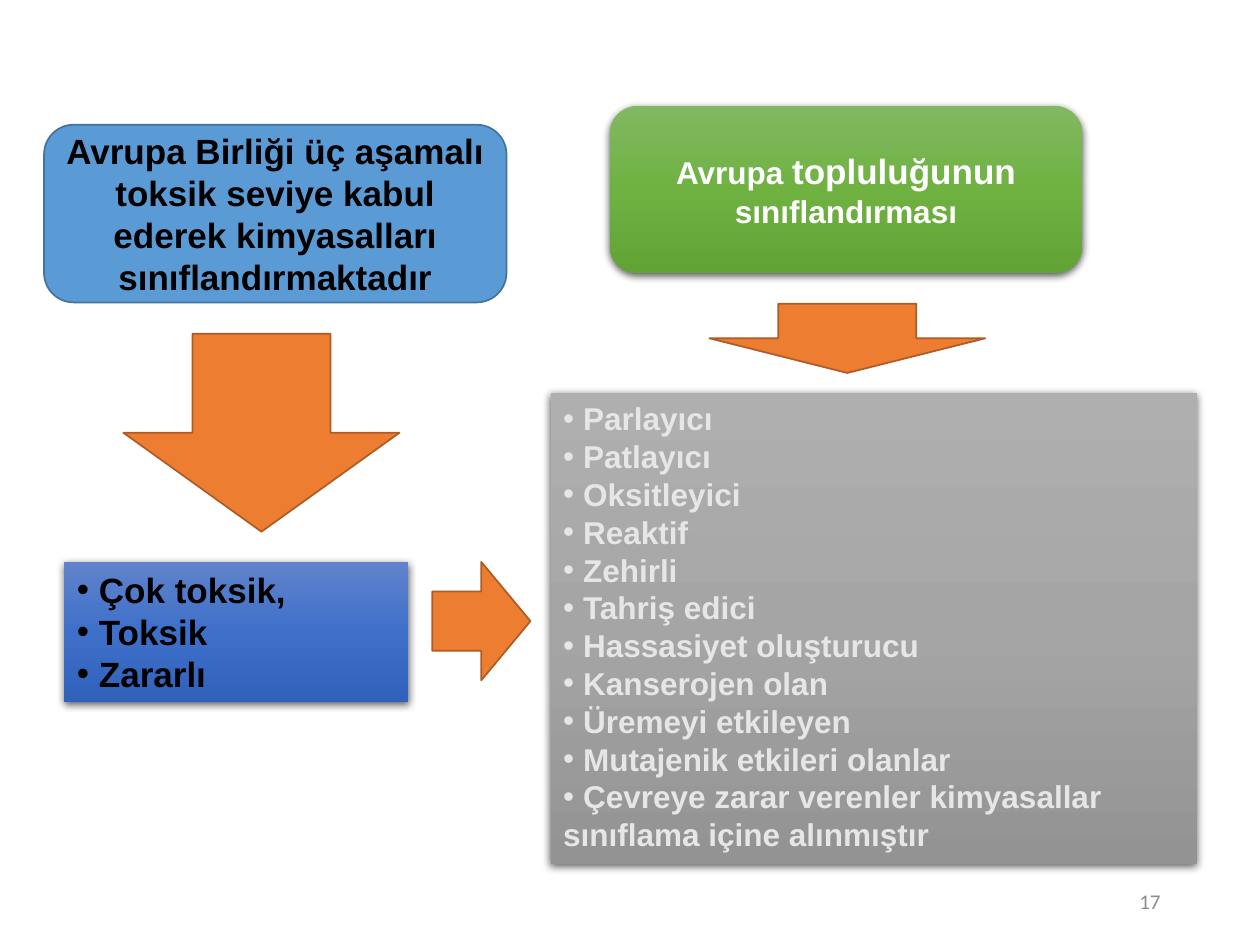
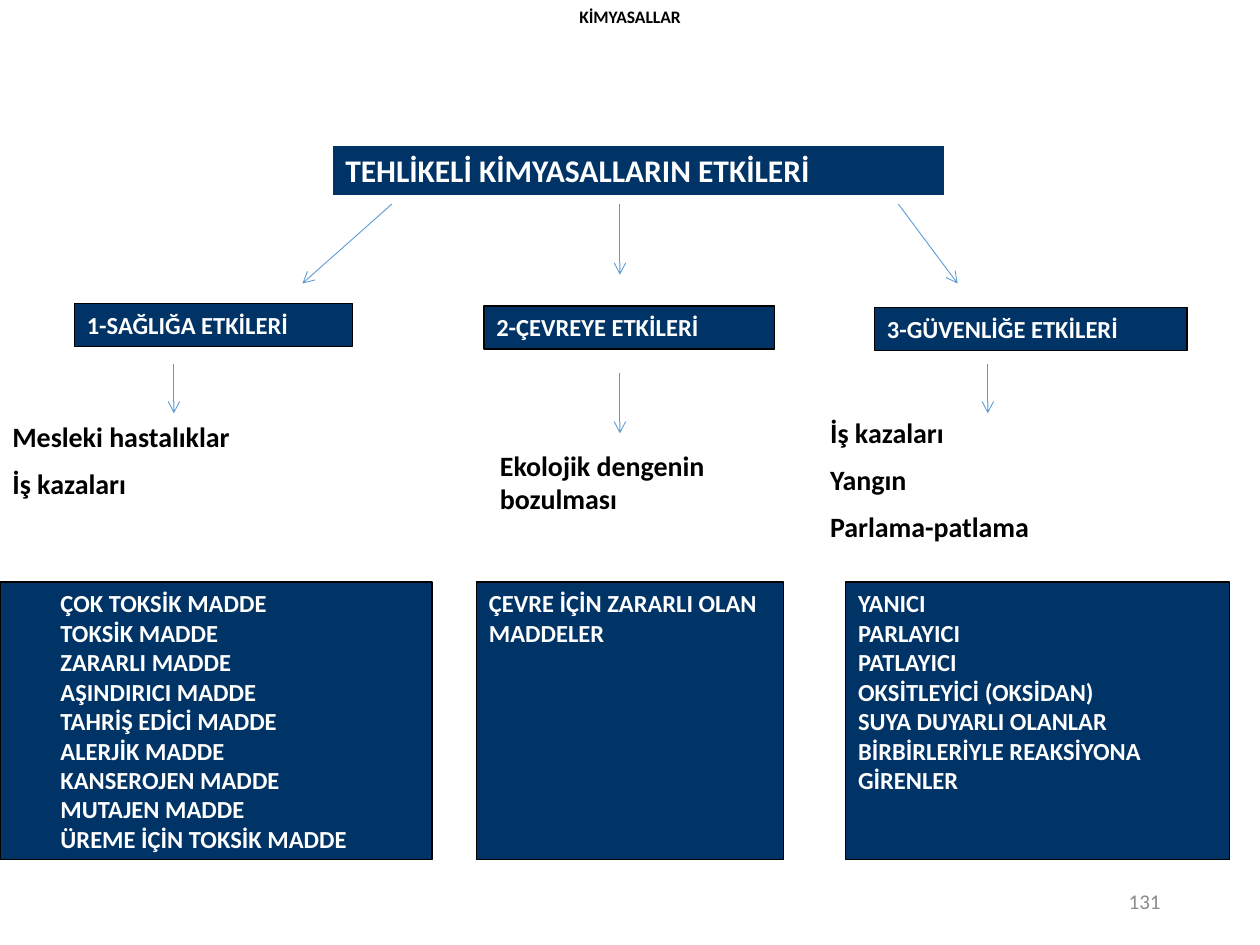
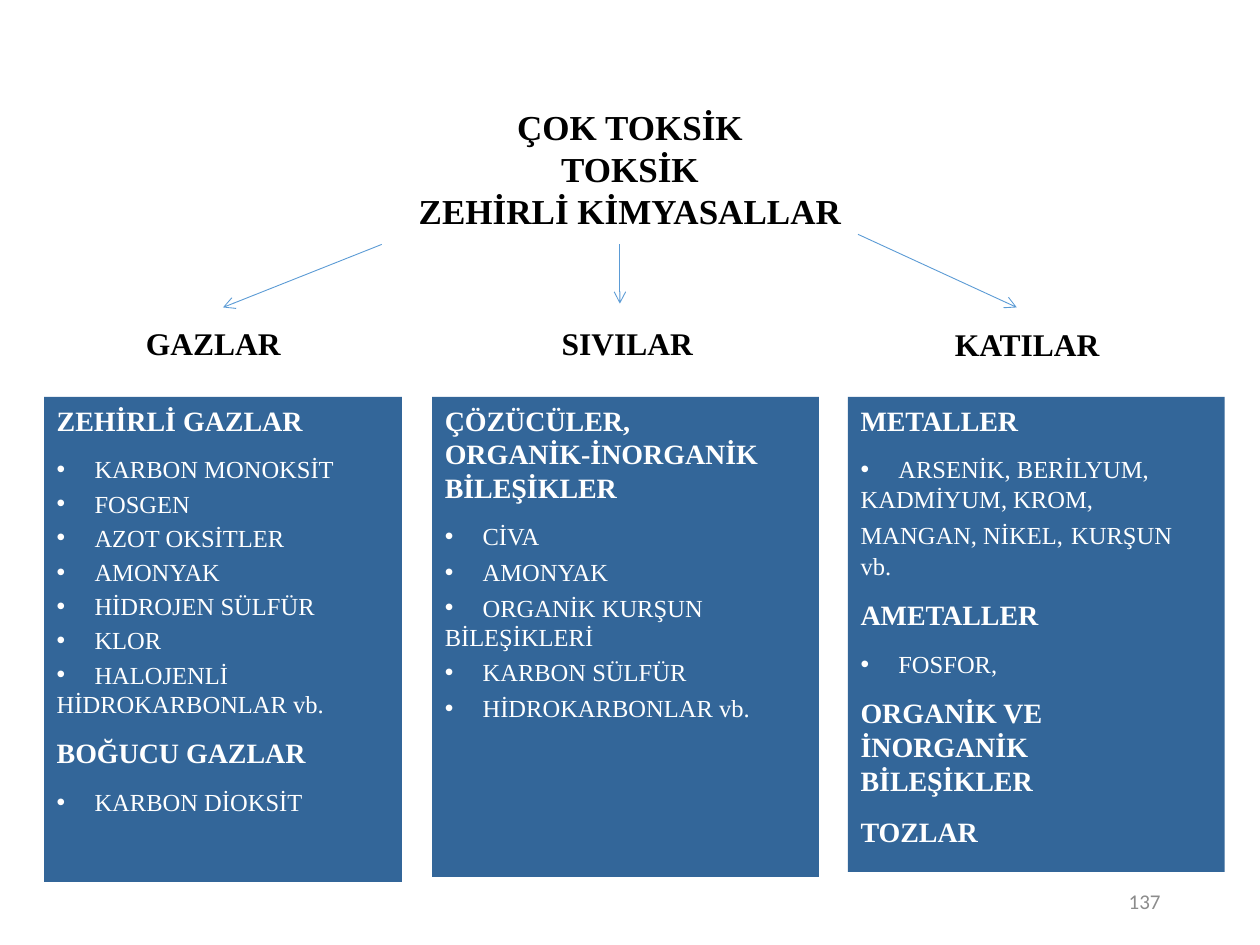
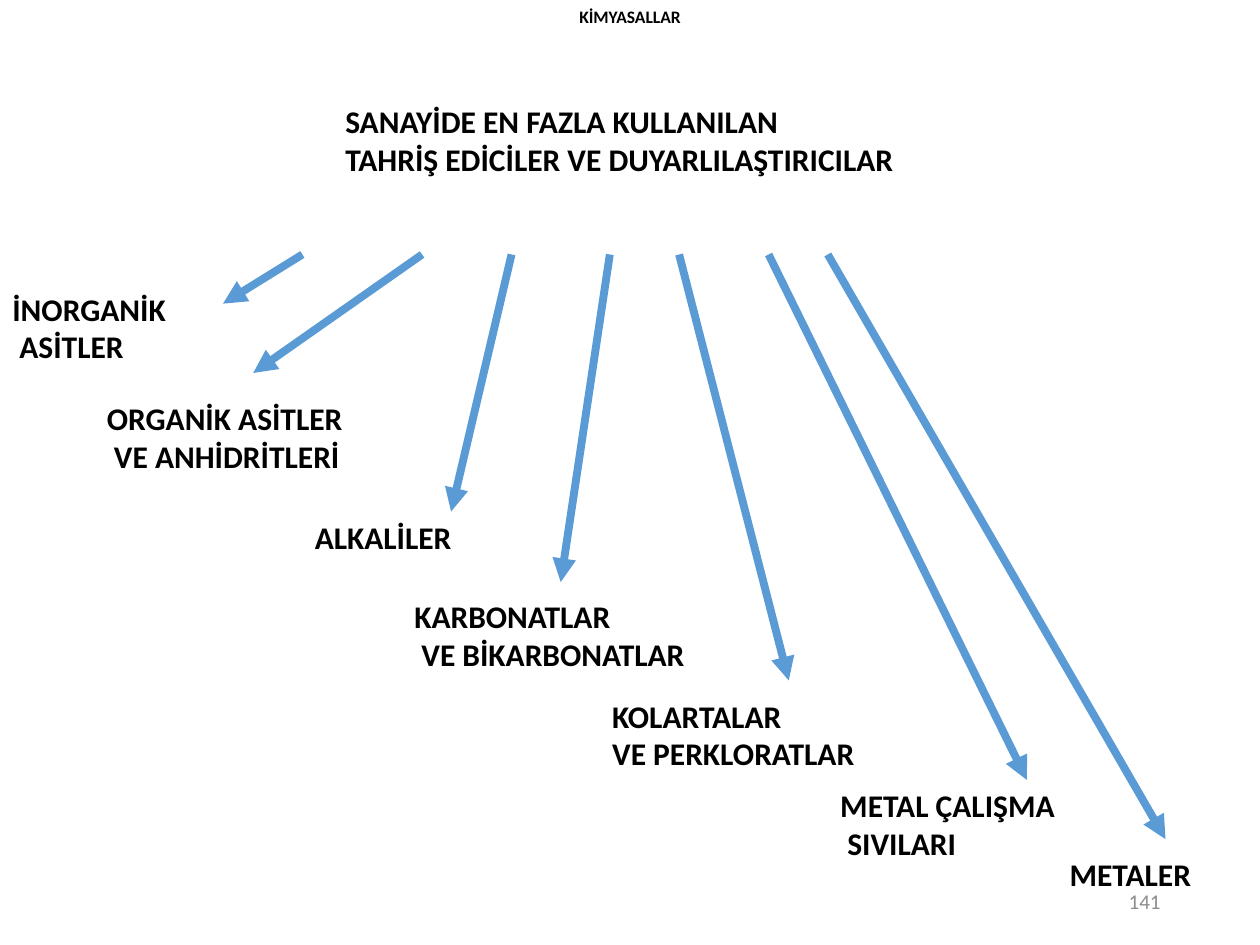
from dataclasses import dataclass

from lxml.etree import SubElement
from pptx import Presentation
from pptx.dml.color import RGBColor
from pptx.enum.shapes import MSO_CONNECTOR as Connector, MSO_SHAPE as Preset
from pptx.enum.text import MSO_ANCHOR as Anchor, MSO_AUTO_SIZE as AutoSize, PP_ALIGN as Align
from pptx.oxml.ns import qn
from pptx.util import Inches, Pt

COLUMNS, ROWS = 100, 75
BLACK, WHITE, GRAY = "000000", "FFFFFF", "8C8C8C"
NAVY, STEEL, SKY, ORANGE, RUST = "003366", "336699", "5B9BD5", "ED7D31", "AF5C24"
BLUE_FADE = ("6183CB", "3E70CA", "3062BB")
GREEN_FADE = ("81B861", "6FB242", "62A336")
GRAY_FADE = ("AFAFAF", "A5A5A5", "939393")


def color(value):
    return RGBColor.from_string(value)


@dataclass
class Line:
    text: object
    size: float = None
    bold: bool = True
    before: float = 0
    tab: float = None


class Deck:
    def __init__(self):
        self.presentation = Presentation()
        self.presentation.slide_width = Inches(10)
        self.presentation.slide_height = Inches(7.5)
        self.column = self.presentation.slide_width / COLUMNS
        self.row = self.presentation.slide_height / ROWS

    def start(self, font, number, banner=None):
        self.font = font
        layout = self.presentation.slide_layouts[4]
        self.slide = self.presentation.slides.add_slide(layout)
        self.bodies = iter(list(self.slide.placeholders)[1:])
        self.text((70.6, 69.5, 22.5, 4), [number], 12, GRAY, bold=False,
                  align=Align.RIGHT, anchor=Anchor.MIDDLE, font="Calibri")
        if banner:
            self.text((0, 0, 100, 2.7), [banner], 10, align=Align.CENTER)

    def finish(self):
        for placeholder in list(self.slide.placeholders):
            if not placeholder.text_frame.text:
                placeholder._element.getparent().remove(placeholder._element)

    def place(self, box):
        left, top, width, height = box
        return (round(left * self.column), round(top * self.row),
                round(width * self.column), round(height * self.row))

    def move(self, shape, box):
        shape.left, shape.top, shape.width, shape.height = self.place(box)
        return shape

    def paint(self, shape, fill, outline=None, weight=1.0):
        shape.shadow.inherit = False
        if isinstance(fill, tuple):
            self.fade(shape, fill)
        else:
            shape.fill.solid()
            shape.fill.fore_color.rgb = color(fill)
        if outline:
            shape.line.color.rgb = color(outline)
            shape.line.width = Pt(weight)
        else:
            shape.line.fill.background()

    def fade(self, shape, stops):
        shape.fill.gradient()
        shape.fill.gradient_angle = 270
        properties = shape._element.spPr
        stop_list = next(properties.iter(qn("a:gsLst")))
        stop_list.clear()
        for position, stop in enumerate(stops):
            entry = SubElement(stop_list, qn("a:gs"), pos=str(position * 50000))
            SubElement(entry, qn("a:srgbClr"), val=stop)
        effects = properties.find(qn("a:effectLst"))
        shadow = SubElement(effects, qn("a:outerShdw"), blurRad=str(Pt(4.5)), dist=str(Pt(1.5)),
                            dir="5400000", algn="ctr", rotWithShape="0")
        tint = SubElement(shadow, qn("a:srgbClr"), val=BLACK)
        SubElement(tint, qn("a:alpha"), val="63000")

    def set_lines(self, shape, lines, size, ink=BLACK, bold=True, align=Align.LEFT,
                  anchor=Anchor.TOP, indent=0, gap=0, font=None):
        frame = shape.text_frame
        frame.word_wrap = True
        frame.auto_size = AutoSize.NONE
        frame.vertical_anchor = anchor
        for index, line in enumerate(lines):
            if isinstance(line, str):
                line = Line(line, bold=bold, before=gap)
            paragraph = frame.add_paragraph() if index else frame.paragraphs[0]
            self.set_bullet(paragraph, line.tab, indent)
            paragraph.alignment = align
            paragraph.space_before = Pt(line.before if index else 0)
            paragraph.space_after = Pt(0)
            pieces = line.text
            if isinstance(pieces, str):
                pieces = [(pieces, line.size or size)]
            for text, piece_size in pieces:
                run = paragraph.add_run()
                run.text = text
                run.font.name = font or self.font
                run.font.size = Pt(piece_size)
                run.font.bold = line.bold
                run.font.color.rgb = color(ink)

    def set_bullet(self, paragraph, tab, indent):
        properties = paragraph._p.get_or_add_pPr()
        properties.set("marL", str(round(indent * self.column)))
        properties.set("indent", "0")
        if tab is None:
            SubElement(properties, qn("a:buNone"))
            return
        SubElement(properties, qn("a:buFont"), typeface="Arial")
        SubElement(properties, qn("a:buChar"), char="•")
        tabs = SubElement(properties, qn("a:tabLst"))
        SubElement(tabs, qn("a:tab"), pos=str(round(tab * self.column)), algn="l")

    def title(self, box, lines, size, **style):
        shape = self.move(self.slide.shapes.title, box)
        self.set_lines(shape, lines, size, **style)
        return shape

    def text(self, box, lines, size, ink=BLACK, **style):
        shape = self.slide.shapes.add_textbox(*self.place(box))
        self.set_lines(shape, lines, size, ink, **style)

    def panel(self, box, lines, size, fill, outline=None, ink=WHITE, **style):
        shape = self.move(next(self.bodies), box)
        self.paint(shape, fill, outline, 0.75)
        self.set_lines(shape, lines, size, ink, **style)

    def shape(self, preset, box, fill, outline=None, weight=1.0):
        shape = self.slide.shapes.add_shape(preset, *self.place(box))
        self.paint(shape, fill, outline, weight)
        return shape

    def arrow(self, start, end, weight=0.5, head="arrow"):
        points = self.place((*start, *end))
        connector = self.slide.shapes.add_connector(Connector.STRAIGHT, *points)
        connector.line.color.rgb = color(SKY)
        connector.line.width = Pt(weight)
        properties = connector._element.spPr
        SubElement(properties.find(qn("a:ln")), qn("a:tailEnd"), type=head)
        SubElement(properties, qn("a:effectLst"))


def bulleted(items, tab):
    return [Line("\t" + item, tab=tab) for item in items]


def sectioned(sections, item_gap):
    lines = []
    for headings, items in sections:
        for index, heading in enumerate(headings):
            lines.append(Line(heading, size=16, before=0 if index else 10))
        for index, item in enumerate(items):
            text = "\t" + item if isinstance(item, str) else item
            lines.append(Line(text, bold=False, before=item_gap if index else 10, tab=3))
    return lines


def classification_slide(deck):
    deck.start("Arial", "17")
    levels = deck.shape(Preset.ROUNDED_RECTANGLE, (3.5, 9.9, 36.7, 14.1), SKY, "43739E")
    deck.set_lines(levels, ["Avrupa Birliği üç aşamalı toksik seviye kabul ederek kimyasalları "
                            "sınıflandırmaktadır"], 20, align=Align.CENTER, anchor=Anchor.MIDDLE)
    community = deck.shape(Preset.ROUNDED_RECTANGLE, (48.4, 8.4, 37.5, 13.3), GREEN_FADE)
    heading = Line([("Avrupa ", 18), ("topluluğunun", 20), (" sınıflandırması", 18)])
    deck.set_lines(community, [heading], 18, WHITE, align=Align.CENTER, anchor=Anchor.MIDDLE)
    for preset, box in ((Preset.DOWN_ARROW, (9.8, 26.5, 21.9, 15.7)),
                        (Preset.RIGHT_ARROW, (34.3, 44.6, 7.8, 9.4)),
                        (Preset.DOWN_ARROW, (56.3, 24.1, 21.9, 5.5))):
        deck.shape(preset, box, ORANGE, RUST)
    deck.panel((5.1, 44.6, 27.3, 11.1), bulleted(["Çok toksik,", "Toksik", "Zararlı"], 1.75),
               20, BLUE_FADE, ink=BLACK)
    classes = ["Parlayıcı", "Patlayıcı", "Oksitleyici", "Reaktif", "Zehirli", "Tahriş edici",
               "Hassasiyet oluşturucu", "Kanserojen olan", "Üremeyi etkileyen",
               "Mutajenik etkileri olanlar",
               "Çevreye zarar verenler kimyasallar sınıflama içine alınmıştır"]
    deck.panel((43.7, 31.2, 51.3, 37.4), bulleted(classes, 1.58), 18, GRAY_FADE, ink="E7E6E6")
    deck.finish()


def effects_slide(deck):
    deck.start("Calibri", "131", "KİMYASALLAR")
    title = deck.title((26.4, 11.5, 48.6, 4), ["TEHLİKELİ KİMYASALLARIN ETKİLERİ"], 18, ink=WHITE)
    deck.paint(title, NAVY, WHITE, 0.75)
    for label, box in (("1-SAĞLIĞA ETKİLERİ", (5.9, 24.1, 22.1, 3.4)),
                       ("2-ÇEVREYE ETKİLERİ", (38.4, 24.3, 23.1, 3.4)),
                       ("3-GÜVENLİĞE ETKİLERİ", (69.4, 24.4, 24.8, 3.4))):
        deck.set_lines(deck.shape(Preset.RECTANGLE, box, NAVY, BLACK, 0.75), [label], 14, WHITE)
    for box, effects in (
            ((0, 32.8, 32.7, 7.7), ["Mesleki hastalıklar", "İş kazaları"]),
            ((38.7, 35.1, 26, 6.4), ["Ekolojik dengenin bozulması"]),
            ((64.9, 32.5, 32.7, 11.7), ["İş kazaları", "Yangın", "Parlama-patlama"])):
        deck.text(box, effects, 16, gap=7.5)
    health = [f"{kind} MADDE" for kind in (
        "ÇOK TOKSİK", "TOKSİK", "ZARARLI", "AŞINDIRICI", "TAHRİŞ EDİCİ", "ALERJİK",
        "KANSEROJEN", "MUTAJEN", "ÜREME İÇİN TOKSİK")]
    safety = ["YANICI", "PARLAYICI", "PATLAYICI", "OKSİTLEYİCİ (OKSİDAN)",
              "SUYA DUYARLI OLANLAR", "BİRBİRLERİYLE REAKSİYONA GİRENLER"]
    for left, width, indent, substances in (
            (0, 34.3, 3.8, health),
            (37.8, 24.4, 0, ["ÇEVRE İÇİN ZARARLI OLAN MADDELER"]),
            (67.1, 30.5, 0, safety)):
        deck.panel((left, 46.2, width, 22), substances, 14, NAVY, BLACK, indent=indent)
    for start, end in (((31.1, 16.2), (24, 22.5)), ((49.2, 16.2), (49.2, 21.8)),
                       ((71.3, 16.2), (76, 22.5)), ((13.8, 28.9), (13.8, 32.8)),
                       ((49.2, 29.6), (49.2, 34.4)), ((78.4, 28.9), (78.4, 32.8))):
        deck.arrow(start, end)
    deck.finish()


def toxics_slide(deck):
    deck.start("Times New Roman", "137")
    deck.title((0, 7.9, 100, 11), ["ÇOK TOKSİK", "TOKSİK", "ZEHİRLİ KİMYASALLAR"], 20,
               align=Align.CENTER)
    for label, left, top in (("GAZLAR", 10.6, 25.2), ("SIVILAR", 43.6, 25.2),
                             ("KATILAR", 74.8, 25.3)):
        deck.text((left, top, 16, 4), [label], 18)
    gases = [(["ZEHİRLİ GAZLAR"],
              ["KARBON MONOKSİT", "FOSGEN", "AZOT OKSİTLER", "AMONYAK", "HİDROJEN SÜLFÜR",
               "KLOR", "HALOJENLİ HİDROKARBONLAR vb."]),
             (["BOĞUCU GAZLAR"], ["KARBON DİOKSİT"])]
    liquids = [(["ÇÖZÜCÜLER,", "ORGANİK-İNORGANİK", "BİLEŞİKLER"],
                ["CİVA", "AMONYAK", "ORGANİK KURŞUN BİLEŞİKLERİ", "KARBON SÜLFÜR",
                 "HİDROKARBONLAR vb."])]
    metals = [("\tARSENİK, BERİLYUM, \tKADMİYUM, KROM, \tMANGAN, NİKEL,", 14),
              (" ", 18), ("KURŞUN \tvb.", 14)]
    solids = [(["METALLER"], [metals]), (["AMETALLER"], ["FOSFOR,"]),
              (["ORGANİK VE İNORGANİK", "BİLEŞİKLER"], []), (["TOZLAR"], [])]
    for left, width, height, sections, gap in ((3.5, 28.4, 38.5, gases, 2.75),
                                               (34.3, 30.7, 38.1, liquids, 3.5),
                                               (67.3, 29.9, 37.7, solids, 0)):
        deck.panel((left, 31.5, width, height), sectioned(sections, gap), 14, STEEL)
    for start, end in (((30.3, 19.4), (17.7, 24.4)), ((49.2, 19.4), (49.2, 24.1)),
                       ((68.1, 18.6), (80.7, 24.4))):
        deck.arrow(start, end)
    deck.finish()


def irritants_slide(deck):
    deck.start("Calibri", "141", "KİMYASALLAR")
    deck.title((26.4, 7.6, 50, 10), ["SANAYİDE EN FAZLA KULLANILAN",
                                     "TAHRİŞ EDİCİLER VE DUYARLILAŞTIRICILAR"], 18)
    for left, top, width, lines, start, end in (
            (0, 22.5, 17.4, ["İNORGANİK", " ASİTLER"], 24, (17.7, 24.1)),
            (7.5, 31.2, 25.9, ["ORGANİK ASİTLER", " VE ANHİDRİTLERİ"], 33.5, (20.1, 29.6)),
            (24, 40.6, 16, ["ALKALİLER"], 40.6, (35.8, 40.6)),
            (31.9, 46.9, 28.7, ["KARBONATLAR", " VE BİKARBONATLAR"], 48.4, (44.5, 46.2)),
            (47.6, 54.8, 26.1, ["KOLARTALAR", "VE PERKLORATLAR"], 53.9, (62.6, 54)),
            (65.7, 61.9, 22.8, ["METAL ÇALIŞMA", " SIVILARI"], 61, (81.5, 61.9)),
            (83.9, 67.4, 13.8, ["METALER"], 65.7, (92.5, 66.6))):
        deck.text((left, top, width, 1 + 3 * len(lines)), lines, 18)
        deck.arrow((start, 20.2), end, 4.5, "triangle")
    deck.finish()


def main():
    deck = Deck()
    for build in (classification_slide, effects_slide, toxics_slide, irritants_slide):
        build(deck)
    deck.presentation.save("out.pptx")


if __name__ == "__main__":
    main()
